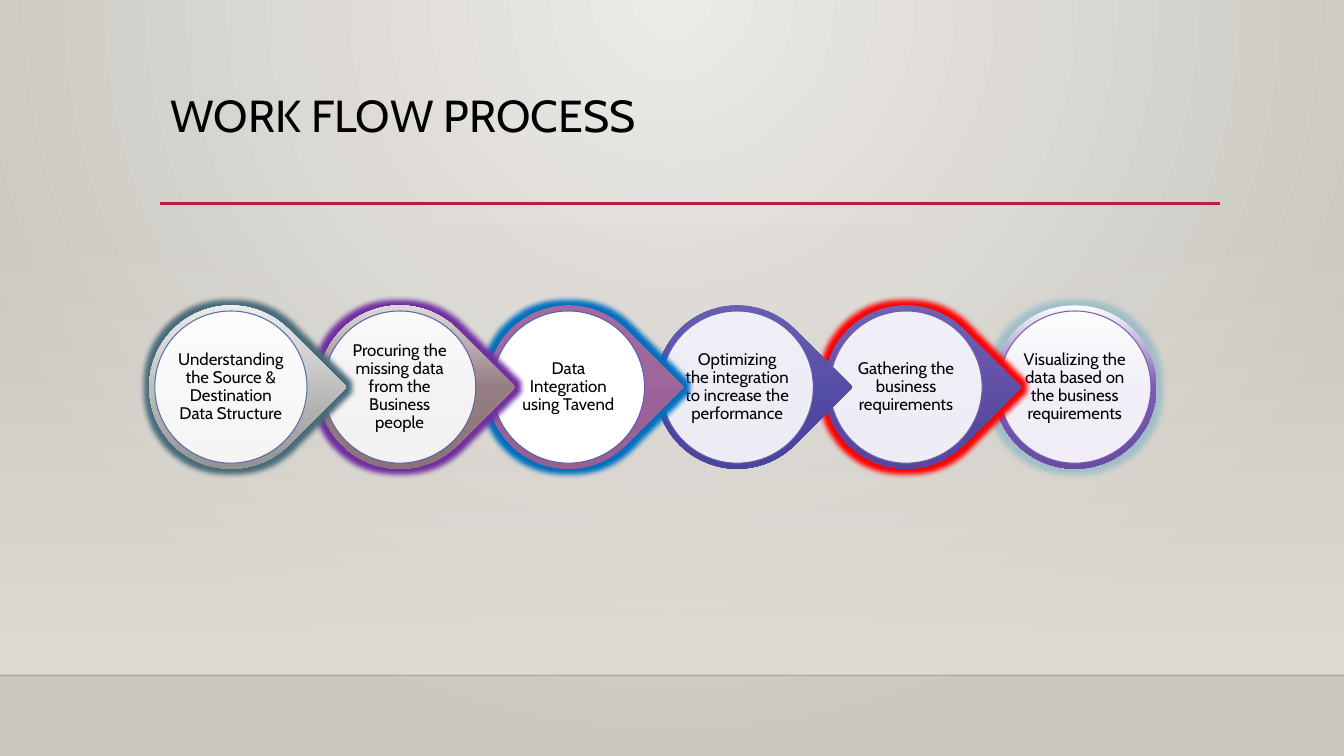
import pptx
import pptx.util
import pptx.dml.color
import pptx.enum.shapes
import pptx.enum.text
import pptx.oxml.ns
import lxml.etree

Inches = pptx.util.Inches
Pt = pptx.util.Pt
RGBColor = pptx.dml.color.RGBColor
MSO_SHAPE = pptx.enum.shapes.MSO_SHAPE
qn = pptx.oxml.ns.qn

BLACK = RGBColor(0x00, 0x00, 0x00)
WHITE = RGBColor(0xFF, 0xFF, 0xFF)
CRIMSON = RGBColor(0xB7, 0x1E, 0x42)
SAND = RGBColor(0xDF, 0xDB, 0xD5)
PALE_STONE = RGBColor(0xEC, 0xEA, 0xE7)
STONE = RGBColor(0xCA, 0xC7, 0xC1)
SLATE = RGBColor(0x4A, 0x6C, 0x7A)
PURPLE = RGBColor(0x70, 0x30, 0xA0)
BLUE = RGBColor(0x00, 0x70, 0xC0)
RED = RGBColor(0xFF, 0x00, 0x00)
MIST = RGBColor(0x7F, 0xB2, 0xC4)

STEPS = [
    ("Understanding the Source & Destination Data Structure",
     [(0, "FFFFFF"), (90, "8C8C8C"), (100, "7C7C7C")], "586EA6", 90, SLATE, 100),
    ("Procuring the missing data from the Business people",
     [(0, "FFFFFF"), (50, "957D83"), (100, "866E74")], "5966A8", 90, PURPLE, 100),
    ("Data Integration using Tavend",
     [(0, "A46CA1"), (100, "955D92")], "5B5EAA", 100, BLUE, 100),
    ("Optimizing the integration to increase the performance",
     [(0, "6D67B5"), (69, "4D46A0"), (100, "494298")], "635CAC", 90, None, 0),
    ("Gathering the business requirements",
     [(0, "7868B7"), (69, "5947A1"), (100, "554399")], "6E5EAD", 90, RED, 100),
    ("Visualizing the data based on the business requirements",
     [(0, "FFFFFF"), (50, "785BB3"), (100, "694CA4")], "795FAF", 90, MIST, 60),
]


class WorkflowSlide:
    """Holds the font and the slide, and draws each kind of element on it."""

    font_name = "Cabin"

    def __init__(self, presentation):
        self.slide = presentation.slides.add_slide(presentation.slide_layouts[5])

    def add_color(self, parent, color, opacity=100):
        element = lxml.etree.SubElement(parent, qn("a:srgbClr"), val=str(color))
        if opacity < 100:
            lxml.etree.SubElement(element, qn("a:alpha"), val=str(opacity * 1000))

    def set_stops(self, gradient, stops):
        stop_list = gradient.find(qn("a:gsLst"))
        for stop in list(stop_list):
            stop_list.remove(stop)
        for position, color, *opacity in stops:
            stop = lxml.etree.SubElement(stop_list, qn("a:gs"), pos=str(position * 1000))
            self.add_color(stop, color, *opacity)

    def background(self, stops):
        self.slide.background.fill.gradient()
        gradient = next(self.slide.element.iter(qn("a:gradFill")))
        self.set_stops(gradient, stops)
        gradient.remove(gradient.find(qn("a:lin")))
        circle = lxml.etree.SubElement(gradient, qn("a:path"), path="circle")
        lxml.etree.SubElement(circle, qn("a:fillToRect"),
                              l="43000", t="0", r="43000", b="100000")

    def title(self, text, left, top, width, height):
        title = self.slide.shapes.title
        title.left, title.top = Inches(left), Inches(top)
        title.width, title.height = Inches(width), Inches(height)
        title.text_frame.vertical_anchor = pptx.enum.text.MSO_ANCHOR.TOP
        self.set_text(title, text, 32, pptx.enum.text.PP_ALIGN.LEFT)

    def set_text(self, shape, text, size, alignment):
        shape.text_frame.word_wrap = True
        paragraph = shape.text_frame.paragraphs[0]
        paragraph.text = text
        paragraph.alignment = alignment
        paragraph.line_spacing = 0.9
        paragraph.font.name = self.font_name
        paragraph.font.size = Pt(size)
        paragraph.font.color.rgb = BLACK

    def shape(self, kind, left, top, width, height):
        shape = self.slide.shapes.add_shape(
            kind, Inches(left), Inches(top), Inches(width), Inches(height))
        shape.shadow.inherit = False
        shape.line.fill.background()
        return shape

    def gradient_shape(self, kind, left, top, width, height, stops):
        shape = self.shape(kind, left, top, width, height)
        shape.fill.gradient()
        gradient = next(shape.element.iter(qn("a:gradFill")))
        gradient.set("rotWithShape", "0")
        self.set_stops(gradient, stops)
        gradient.find(qn("a:lin")).set("ang", str(90 * 60000))
        return shape

    def glow(self, shape, color, opacity):
        effects = next(shape.element.iter(qn("a:effectLst")))
        glow = lxml.etree.SubElement(effects, qn("a:glow"), rad=str(Pt(8)))
        self.add_color(glow, color, opacity)

    def rule(self, left, right, top, color, weight, opacity=100):
        line = self.slide.shapes.add_connector(
            pptx.enum.shapes.MSO_CONNECTOR.STRAIGHT,
            Inches(left), Inches(top), Inches(right), Inches(top))
        line.line.width = Pt(weight)
        line.line.color.rgb = color
        self.fade(line, opacity)
        lxml.etree.SubElement(line.element.spPr, qn("a:effectLst"))

    def fade(self, shape, opacity):
        color = next(shape.element.spPr.iter(qn("a:srgbClr")))
        lxml.etree.SubElement(color, qn("a:alpha"), val=str(opacity * 1000))

    def step(self, kind, left, top, text, stops, outline, opacity, glow, glow_opacity):
        drop = self.gradient_shape(kind, left, top, 1.62, 1.62, stops)
        if kind == MSO_SHAPE.TEAR:
            drop.rotation = 45
        if glow is not None:
            self.glow(drop, glow, glow_opacity)
        circle = self.shape(MSO_SHAPE.OVAL, left + 0.055, top + 0.055, 1.51, 1.51)
        circle.fill.solid()
        circle.fill.fore_color.rgb = WHITE
        self.fade(circle, opacity)
        circle.line.color.rgb = RGBColor.from_string(outline)
        circle.line.width = Pt(0.75)
        frame = circle.text_frame
        frame.margin_left = frame.margin_right = Inches(0.01)
        frame.margin_top = frame.margin_bottom = 0
        frame.vertical_anchor = pptx.enum.text.MSO_ANCHOR.MIDDLE
        self.set_text(circle, text, 12, pptx.enum.text.PP_ALIGN.CENTER)


def main():
    presentation = pptx.Presentation()
    presentation.slide_width = Inches(13.33)
    presentation.slide_height = Inches(7.5)
    workflow = WorkflowSlide(presentation)
    workflow.background([(0, PALE_STONE), (100, STONE)])
    workflow.gradient_shape(MSO_SHAPE.RECTANGLE, 0, 2.21, 13.33, 4.49,
                            [(0, SAND, 0), (100, SAND)])
    workflow.rule(0, 13.33, 6.7, BLACK, 1, 20)
    workflow.rule(1.59, 12.1, 2.02, CRIMSON, 2.5)
    workflow.title("WORK FLOW PROCESS", 1.59, 0.88, 10.5, 1.15)
    first_left, last_left = 1.48, 9.85
    last = len(STEPS) - 1
    pitch = (last_left - first_left) / last
    for index in range(last, -1, -1):
        kind = MSO_SHAPE.OVAL if index == last else MSO_SHAPE.TEAR
        workflow.step(kind, first_left + index * pitch, 3.03, *STEPS[index])
    presentation.save("out.pptx")


if __name__ == "__main__":
    main()
